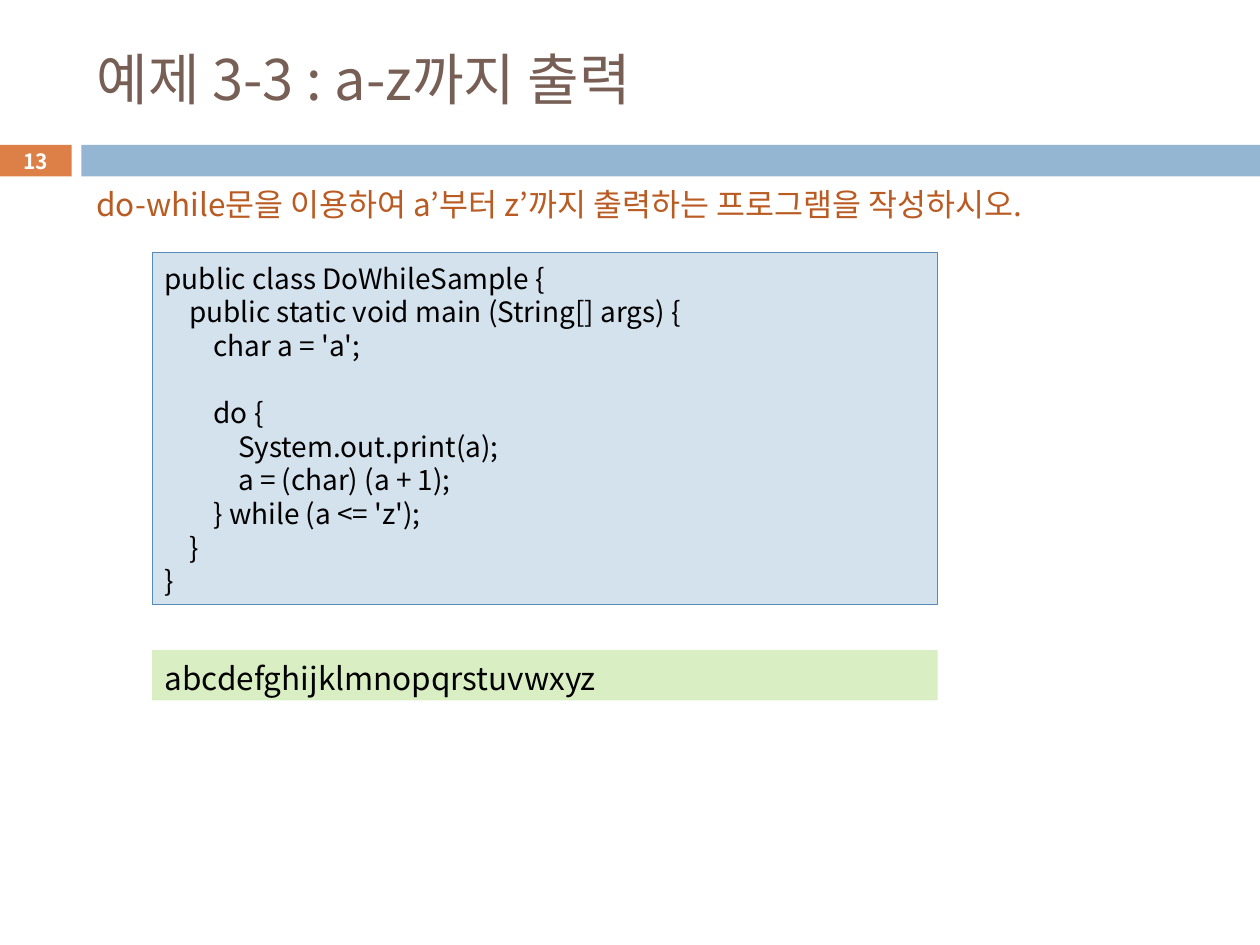
"""Build a slide with a do-while code example and its output."""
from lxml import etree
from pptx import Presentation
from pptx.dml.color import RGBColor
from pptx.enum.shapes import MSO_SHAPE
from pptx.enum.text import MSO_ANCHOR, PP_ALIGN
from pptx.oxml.ns import qn
from pptx.util import Pt

RECTANGLE = MSO_SHAPE.RECTANGLE
TOP, MIDDLE = MSO_ANCHOR.TOP, MSO_ANCHOR.MIDDLE
LEFT, CENTER = PP_ALIGN.LEFT, PP_ALIGN.CENTER
FONT = "Noto Sans CJK KR"
COLORS = {
    "title": "775F55", "number": "DD8047", "band": "94B6D2", "task": "B95B22",
    "code": "D4E2ED", "border": "558BB8", "output": "DAEEC4",
    "black": "000000", "white": "FFFFFF",
}
CODE_STEP = 14
CODE_SIZE = 16
LINE_RATIO = 1.2
CODE = [
    (0, "public class DoWhileSample {"),
    (1, "public static void main (String[] args) {"),
    (2, "char a = 'a';"),
    (2, "do {"),
    (3, "System.out.print(a);"),
    (3, "a = (char) (a + 1);"),
    (2, "} while (a <= 'z');"),
    (1, "}"),
    (0, "}"),
]


class SlideBuilder:
    def __init__(self, presentation):
        self.slide = presentation.slides.add_slide(presentation.slide_layouts[5])

    def color(self, name):
        return RGBColor.from_string(COLORS[name])

    def frame(self, shape, anchor, top=3.6):
        values = {
            "word_wrap": True, "vertical_anchor": anchor,
            "margin_left": Pt(7.2), "margin_right": Pt(7.2),
            "margin_top": Pt(top), "margin_bottom": Pt(3.6),
        }
        for name, value in values.items():
            setattr(shape.text_frame, name, value)
        return shape.text_frame

    def add_text(self, paragraph, text, size, color, bold=False, **layout):
        run = paragraph.add_run()
        run.text = text
        for name, value in {"name": FONT, "size": Pt(size), "bold": bold}.items():
            setattr(run.font, name, value)
        run.font.color.rgb = self.color(color)
        east_asian = etree.SubElement(run._r.get_or_add_rPr(), qn("a:ea"))
        east_asian.set("typeface", FONT)
        for name, value in {"alignment": LEFT, **layout}.items():
            setattr(paragraph, name, value)

    def title(self, text, box):
        shape = self.slide.shapes.title
        for name, value in zip(("left", "top", "width", "height"), box):
            setattr(shape, name, Pt(value))
        frame = self.frame(shape, MIDDLE)
        self.add_text(frame.paragraphs[0], text, 32, "title")

    def rectangle(self, box, fill, border=None):
        shape = self.slide.shapes.add_shape(RECTANGLE, *map(Pt, box))
        shape.shadow.inherit = False
        shape.fill.solid()
        shape.fill.fore_color.rgb = self.color(fill)
        if border:
            shape.line.color.rgb = self.color(border)
            shape.line.width = Pt(0.75)
        else:
            shape.line.fill.background()
        return shape

    def line_of_text(self, shape, text, color):
        frame = self.frame(shape, TOP, 5)
        self.add_text(frame.paragraphs[0], text, 18, color,
                      line_spacing=Pt(18 * LINE_RATIO))

    def text_box(self, box, text, color):
        shape = self.slide.shapes.add_textbox(*map(Pt, box))
        self.line_of_text(shape, text, color)

    def number(self, box, text):
        shape = self.rectangle(box, "number")
        frame = self.frame(shape, MIDDLE)
        self.add_text(frame.paragraphs[0], text, 12, "white",
                      bold=True, alignment=CENTER)

    def code(self, box, lines):
        frame = self.frame(self.rectangle(box, "code", "border"), TOP, 5)
        spacing = Pt(CODE_SIZE * LINE_RATIO)
        for index, (level, text) in enumerate(lines):
            paragraph = frame.add_paragraph() if index else frame.paragraphs[0]
            gap = spacing if text == "do {" else Pt(0)
            self.add_text(paragraph, text, CODE_SIZE, "black",
                          line_spacing=spacing, space_before=gap)
            properties = paragraph._p.get_or_add_pPr()
            properties.set("marL", str(Pt(level * CODE_STEP)))


def main():
    presentation = Presentation()
    presentation.slide_width, presentation.slide_height = Pt(720), Pt(540)
    builder = SlideBuilder(presentation)
    builder.number((0, 82.8, 41, 18), "13")
    builder.rectangle((46.5, 82.8, 673.5, 18), "band")
    builder.title("예제 3-3 : a-z까지 출력", (48, 18, 642, 53.5))
    builder.text_box((48, 100.8, 616, 28.8),
                     "do-while문을 이용하여 a’부터 z’까지 출력하는 프로그램을 작성하시오.", "task")
    builder.code((87, 144.4, 448.8, 201), CODE)
    output = builder.rectangle((87, 371.5, 448.8, 28.8), "output")
    builder.line_of_text(output, "abcdefghijklmnopqrstuvwxyz", "black")
    presentation.save("out.pptx")


if __name__ == "__main__":
    main()
